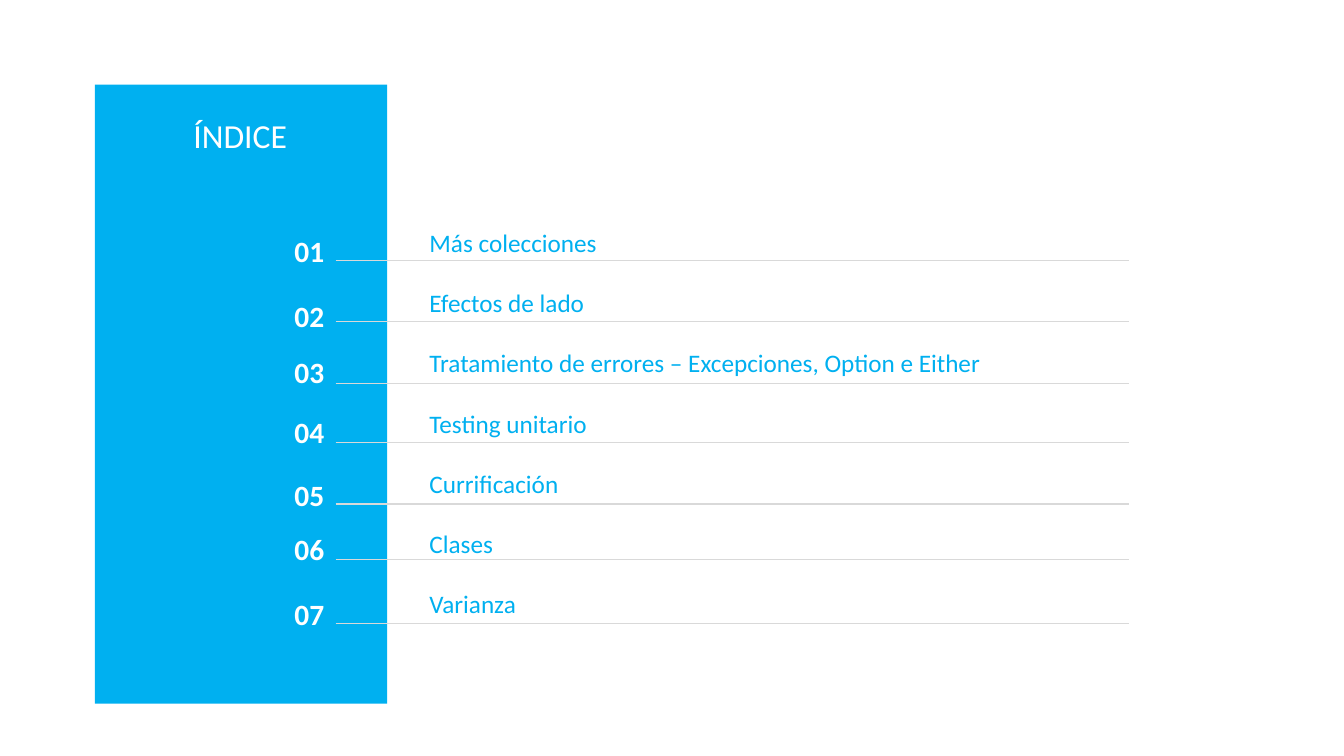
"""Builds an index slide with a blue side panel and seven numbered topics."""
from pptx import Presentation
from pptx.dml.color import RGBColor
from pptx.enum.shapes import MSO_CONNECTOR, MSO_SHAPE
from pptx.oxml.ns import qn
from pptx.util import Inches, Pt
from lxml import etree

RECTANGLE = MSO_SHAPE.RECTANGLE
STRAIGHT = MSO_CONNECTOR.STRAIGHT
BLUE = RGBColor(0x00, 0xB0, 0xF0)
WHITE = RGBColor(0xFF, 0xFF, 0xFF)
GREY = RGBColor(0xD9, 0xD9, 0xD9)
FONT = "Calibri"

TOPICS = [
    "Más colecciones",
    "Efectos de lado",
    "Tratamiento de errores – Excepciones, Option e Either",
    "Testing unitario",
    "Currificación",
    "Clases",
    "Varianza",
]
NUMBER_TOPS = [2.24, 2.89, 3.44, 4.04, 4.66, 5.2, 5.84]
RULE_TOPS = [2.58, 3.19, 3.8, 4.39, 5, 5.55, 6.19]


def add_text(slide, box, lines, size, color, bold=False, gap=0, inset=(0.13, 0.07)):
    """Place a text box holding one paragraph per line."""
    frame = slide.shapes.add_textbox(*map(Inches, box)).text_frame
    frame.word_wrap = True
    frame.margin_left = frame.margin_right = Inches(inset[0])
    frame.margin_top = frame.margin_bottom = Inches(inset[1])
    frame.text = "\n".join(lines)
    for paragraph in frame.paragraphs:
        paragraph.space_after = Pt(gap)
        paragraph.font.name = FONT
        paragraph.font.size = Pt(size)
        paragraph.font.bold = bold
        paragraph.font.color.rgb = color


def add_panel(slide, box):
    """Draw the blue side panel with its heading."""
    left, top = box[:2]
    panel = slide.shapes.add_shape(RECTANGLE, *map(Inches, box))
    panel.shadow.inherit = False
    panel.fill.solid()
    panel.fill.fore_color.rgb = BLUE
    panel.line.fill.background()
    heading_box = (left + 0.88, top + 0.25, 1.14, 0.5)
    add_text(slide, heading_box, ["ÍNDICE"], 24, WHITE, inset=(0.1, 0.05))


def add_rule(slide, left, top, width):
    """Draw a thin grey horizontal rule."""
    rule = slide.shapes.add_connector(
        STRAIGHT, Inches(left), Inches(top), Inches(left + width), Inches(top))
    rule.line.color.rgb = GREY
    rule.line.width = Pt(0.75)
    etree.SubElement(rule._element.spPr, qn("a:effectLst"))


def add_topics(slide, box):
    """List the topics with a number and a rule for each."""
    left, top, width, height = box
    add_text(slide, (left + 1.34, top, width - 1.34, height), TOPICS, 18, BLUE, gap=21.25)
    for index, (number_top, rule_top) in enumerate(zip(NUMBER_TOPS, RULE_TOPS), 1):
        add_rule(slide, left + 0.54, rule_top, 7.87)
        add_text(slide, (left, number_top, 0.69, 0.48), [f"{index:02}"], 21, WHITE, bold=True)


def main():
    """Build and save the slide."""
    deck = Presentation()
    deck.slide_width, deck.slide_height = Inches(13.33), Inches(7.5)
    slide = deck.slides.add_slide(deck.slide_layouts[6])
    add_panel(slide, (0.94, 0.84, 2.9, 6.14))
    add_topics(slide, (2.79, 2.19, 9.2, 4.56))
    deck.save("out.pptx")


if __name__ == "__main__":
    main()
